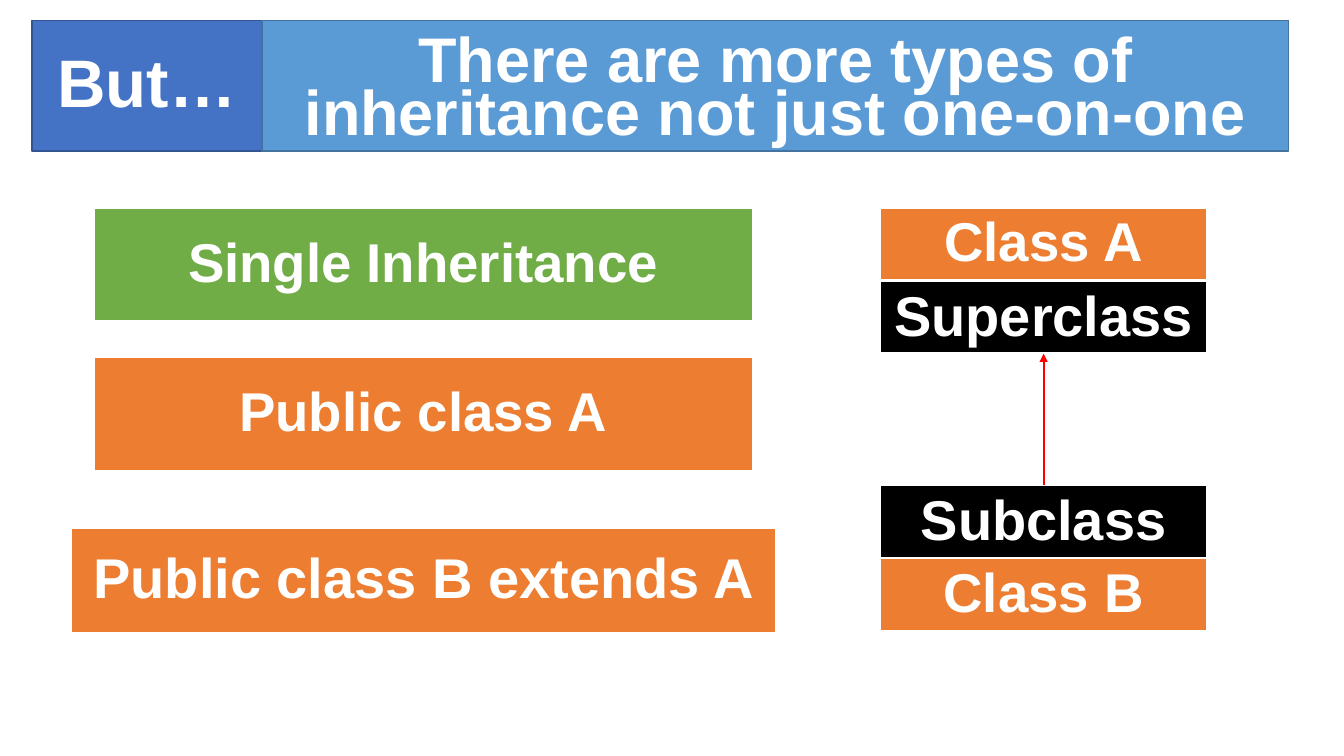
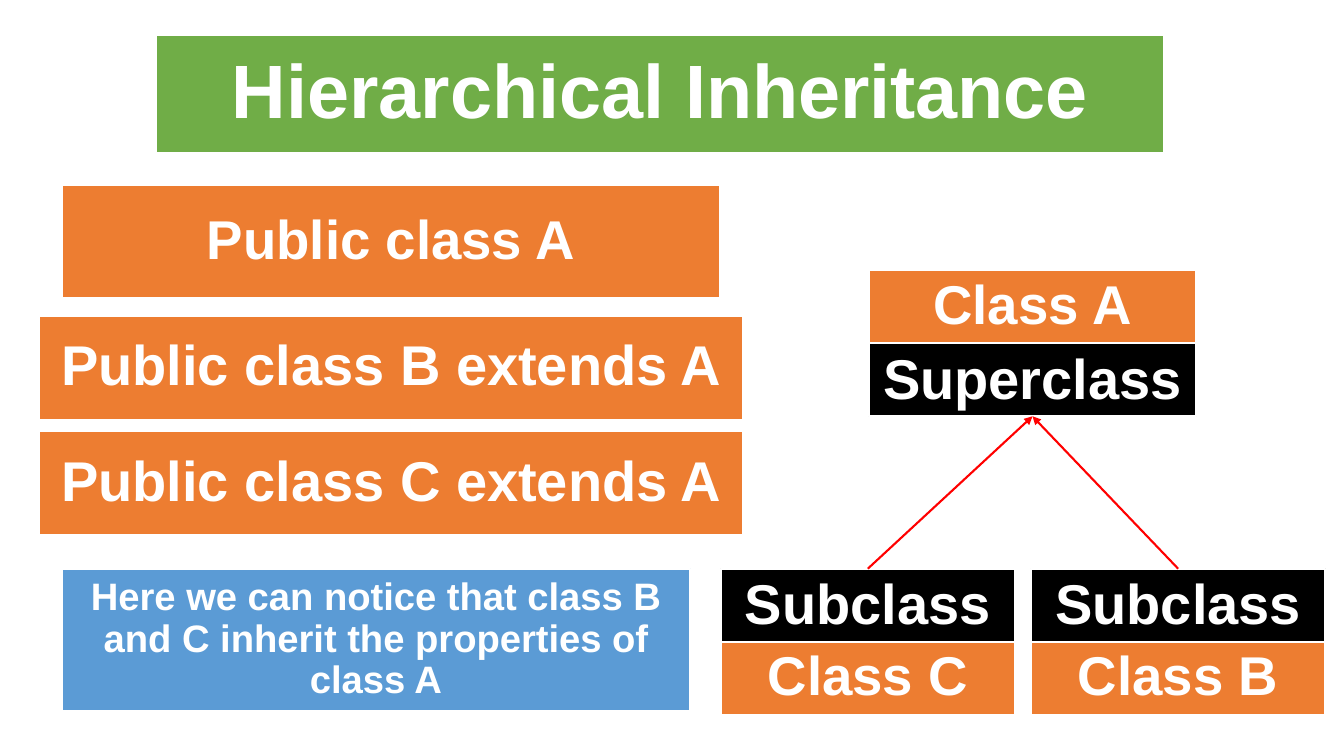
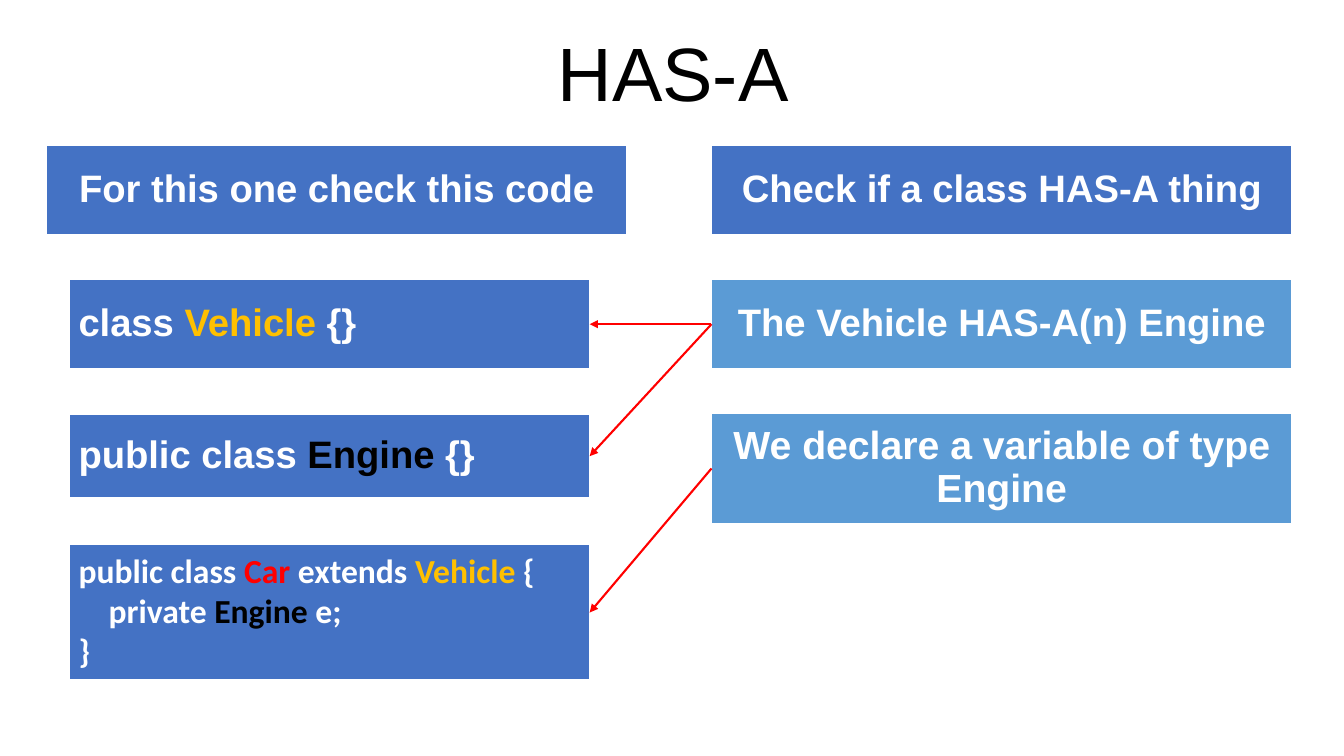
import pptx
import pptx.util
import pptx.dml.color
import pptx.enum.shapes
import pptx.enum.text
import pptx.oxml
import pptx.oxml.ns

Cm = pptx.util.Cm
Pt = pptx.util.Pt
Align = pptx.enum.text.PP_ALIGN
Anchor = pptx.enum.text.MSO_ANCHOR


class Theme:
    white = "FFFFFF"
    black = "000000"
    navy = "4472C4"
    sky = "5B9BD5"
    orange = "ED7D31"
    green = "70AD47"
    red = "FF0000"
    gold = "FFC000"
    navy_edge = "325491"
    sky_edge = "43739E"
    face = "Arial"
    code_face = "Calibri"
    title = 54
    lead = 48
    head = 45
    role = 40
    label = 39
    note = 28
    body = 27.3
    code = 24


def tint(code):
    return pptx.dml.color.RGBColor.from_string(code)


class Deck:
    def __init__(self):
        self.show = pptx.Presentation()
        self.show.slide_width = Cm(33.87)
        self.show.slide_height = Cm(19.05)
        self.slide = None

    def page(self):
        self.slide = self.show.slides.add_slide(self.show.slide_layouts[6])

    def label(self, shape, lines, size, color=Theme.white, bold=True, face=Theme.face,
              align=Align.CENTER, anchor=Anchor.MIDDLE, space=0.9):
        frame = shape.text_frame
        frame.word_wrap = True
        frame.vertical_anchor = anchor
        for i, line in enumerate(lines):
            para = frame.add_paragraph() if i else frame.paragraphs[0]
            para.alignment = align
            para.line_spacing = space
            font = para.font
            font.name, font.size, font.bold = face, Pt(size), bold
            font.color.rgb = tint(color)
            for text, shade in line:
                run = para.add_run()
                run.text = text
                if shade != color:
                    run.font.color.rgb = tint(shade)

    def box(self, x, y, w, h, fill, text, size, edge=Theme.white, weight=1.5, **style):
        kind = pptx.enum.shapes.MSO_SHAPE.RECTANGLE
        shape = self.slide.shapes.add_shape(kind, Cm(x), Cm(y), Cm(w), Cm(h))
        shape.shadow.inherit = False
        shape.fill.solid()
        shape.fill.fore_color.rgb = tint(fill)
        shape.line.color.rgb = tint(edge)
        shape.line.width = Pt(weight)
        lines = [[(text, Theme.white)]] if isinstance(text, str) else text
        self.label(shape, lines, size, **style)
        return shape

    def title(self, text):
        shape = self.slide.shapes.add_textbox(0, 0, Cm(33.93), Cm(3.86))
        self.label(shape, [[(text, Theme.black)]], Theme.title, Theme.black, bold=False)

    def code(self, y, h, lines, size=Theme.body, **style):
        return self.box(1.73, y, 13.13, h, Theme.navy, lines, size, align=Align.LEFT, **style)

    def base(self, x, y, text):
        self.box(x, y, 16.61, 2.87, Theme.orange, text, Theme.label)

    def child(self, x, y, text):
        self.box(x, y, 17.75, 2.64, Theme.orange, text, Theme.role)

    def pair(self, x, y, w, name, role):
        h = 1.84
        top = role == "Superclass"
        name_y, role_y = (y, y + h) if top else (y + h, y)
        self.box(x, name_y, w, h, Theme.orange, name, Theme.label)
        self.box(x, role_y, w, h, Theme.black, role, Theme.role, anchor=Anchor.BOTTOM)
        return Cm(x + w / 2), Cm(y + 2 * h if top else y)

    def arrow(self, start, end):
        kind = pptx.enum.shapes.MSO_CONNECTOR.STRAIGHT
        link = self.slide.shapes.add_connector(kind, *start, *end)
        link.line.color.rgb = tint(Theme.red)
        link.line.width = Pt(1.5)
        qn = pptx.oxml.ns.qn
        props = link._element.spPr
        line = props.find(qn("a:ln"))
        line.append(line.makeelement(qn("a:tailEnd"), {"type": "triangle"}))
        props.append(props.makeelement(qn("a:effectLst"), {}))

    def point(self, source, target):
        self.arrow((source.left, source.top + source.height // 2),
                   (target.left + target.width, target.top + target.height // 2))


def single(deck):
    deck.page()
    deck.box(0.81, 0.51, 5.79, 3.3, Theme.navy, "But…", Theme.lead,
             edge=Theme.navy_edge, weight=1)
    deck.box(6.6, 0.51, 25.88, 3.3, Theme.sky,
             "There are more types of inheritance not just one-on-one", Theme.head,
             edge=Theme.sky_edge, weight=1, anchor=Anchor.BOTTOM, space=0.7)
    deck.box(2.36, 5.23, 16.61, 2.87, Theme.green, "Single Inheritance", Theme.label)
    deck.base(2.36, 8.99, "Public class A")
    deck.child(1.8, 13.31, "Public class B extends A")
    top = deck.pair(22.17, 5.23, 8.26, "Class A", "Superclass")
    sub = deck.pair(22.17, 12.22, 8.26, "Class B", "Subclass")
    deck.arrow(sub, top)


def tree(deck):
    deck.page()
    deck.box(3.94, 0.89, 25.4, 2.97, Theme.green, "Hierarchical Inheritance", Theme.title)
    deck.base(1.55, 4.65, "Public class A")
    for i, name in enumerate("BC"):
        deck.child(0.99, 7.95 + 2.9 * i, f"Public class {name} extends A")
    deck.box(1.55, 14.33, 15.85, 3.58, Theme.sky,
             "Here we can notice that class B and C inherit the properties of class A",
             Theme.body)
    top = deck.pair(21.89, 6.81, 8.26, "Class A", "Superclass")
    for i, name in enumerate("CB"):
        sub = deck.pair(18.16 + 7.82 * i, 14.33, 7.42, f"Class {name}", "Subclass")
        deck.arrow(sub, top)


def has_a(deck):
    white, gold, black, red = Theme.white, Theme.gold, Theme.black, Theme.red
    deck.page()
    deck.title("HAS-A")
    left, right, wide, tall = 1.17, 17.93, 14.63, 2.26
    for x, text in ((left, "For this one check this code"),
                    (right, "Check if a class HAS-A thing")):
        deck.box(x, 3.66, wide, tall, Theme.navy, text, Theme.body)
    owns = deck.box(right, 7.04, wide, tall, Theme.sky,
                    "The Vehicle HAS-A(n) Engine", Theme.body)
    field = deck.box(right, 10.41, wide, 2.79, Theme.sky,
                     "We declare a variable of type Engine", Theme.note)
    truck = deck.code(7.04, tall, [[("class ", white), ("Vehicle ", gold), ("{}", white)]])
    motor = deck.code(10.44, 2.11,
                      [[("public class ", white), ("Engine ", black), ("{}", white)]])
    car = deck.code(13.72, 3.43, [
        [("public class ", white), ("Car", red), (" extends ", white),
         ("Vehicle", gold), (" {", white)],
        [("private ", white), ("Engine", black), (" e;", white)],
        [("}", white)],
    ], Theme.code, face=Theme.code_face, anchor=Anchor.TOP, space=1.0)
    inner = car.text_frame.paragraphs[1]._p.get_or_add_pPr()
    inner.set("marL", str(Cm(0.76)))
    for source, target in ((owns, motor), (owns, truck), (field, car)):
        deck.point(source, target)


def main():
    deck = Deck()
    for build in (single, tree, has_a):
        build(deck)
    deck.show.save("out.pptx")


if __name__ == "__main__":
    main()
